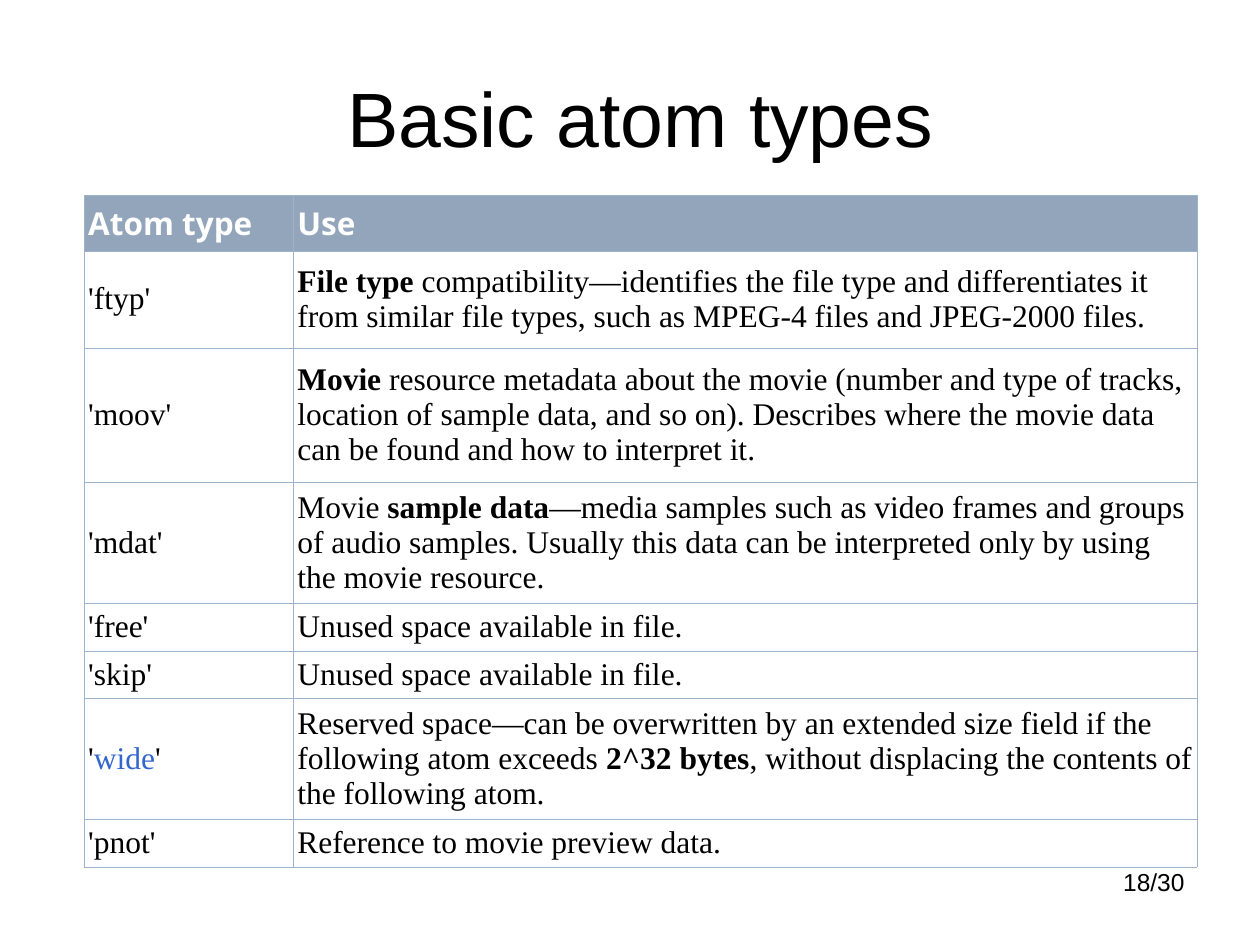
"""Build the slide that tabulates the basic atom types."""
from lxml import etree
from pptx import Presentation
from pptx import util as u
from pptx.dml.color import RGBColor
from pptx.enum import text
from pptx.oxml import ns

BLACK = RGBColor(0, 0, 0)
WHITE = RGBColor(255, 255, 255)
BLUE = RGBColor(0x33, 0x66, 0xCC)
SLATE = RGBColor(0x93, 0xA5, 0xBB)
LINE = RGBColor(0x9B, 0xB3, 0xCD)

HEAD = {"size": u.Pt(18), "name": "Noto Sans", "bold": True}
BODY = {"size": u.Pt(18), "name": "Times New Roman", "bold": False}
TITLE = {"size": u.Pt(44), "name": "Arial", "bold": False}
PAGE = {"size": u.Pt(14), "name": "Arial", "bold": False}
CELL = {
    "margin_left": u.Inches(0.03),
    "margin_right": u.Inches(0.03),
    "margin_top": u.Inches(0.05),
    "margin_bottom": u.Inches(0.05),
    "vertical_anchor": text.MSO_ANCHOR.MIDDLE,
}

WIDTHS = [1.66, 7.17]
ROWS = [
    (0.36, "Atom type", "Use"),
    (0.77, "'ftyp'", "*File type *compatibility—identifies the file type and "
     "differentiates it from similar file types, such as MPEG-4 files and "
     "JPEG-2000 files."),
    (1.07, "'moov'", "*Movie* resource metadata about the movie (number and "
     "type of tracks, location of sample data, and so on). Describes where "
     "the movie data can be found and how to interpret it."),
    (0.96, "'mdat'", "Movie *sample data*—media samples such as video frames "
     "and groups of audio samples. Usually this data can be interpreted only "
     "by using the movie resource."),
    (0.36, "'free'", "Unused space available in file."),
    (0.36, "'skip'", "Unused space available in file."),
    (0.96, "'*wide*'", "Reserved space—can be overwritten by an extended size "
     "field if the following atom exceeds *2^32 bytes*, without displacing "
     "the contents of the following atom."),
    (0.36, "'pnot'", "Reference to movie preview data."),
]


def write(para, words, style, color):
    run = para.add_run()
    run.text = words
    for key, value in style.items():
        setattr(run.font, key, value)
    run.font.color.rgb = color


def edge(cell):
    props = cell._tc.get_or_add_tcPr()
    for side in ("a:lnL", "a:lnR", "a:lnT", "a:lnB"):
        line = etree.SubElement(props, ns.qn(side), w=str(u.Pt(0.34)))
        fill = etree.SubElement(line, ns.qn("a:solidFill"))
        etree.SubElement(fill, ns.qn("a:srgbClr"), val=str(LINE))


deck = Presentation()
deck.slide_width, deck.slide_height = u.Inches(10), u.Inches(7.5)
slide = deck.slides.add_slide(deck.slide_layouts[5])

title = slide.shapes.title
title.left, title.top = u.Inches(0.5), u.Inches(0.3)
title.width, title.height = u.Inches(9), u.Inches(1.25)
title.text_frame.vertical_anchor = text.MSO_ANCHOR.MIDDLE
para = title.text_frame.paragraphs[0]
para.alignment = text.PP_ALIGN.CENTER
write(para, " Basic atom types", TITLE, BLACK)

frame = slide.shapes.add_table(
    len(ROWS), len(WIDTHS), u.Inches(0.67), u.Inches(1.55),
    u.Inches(sum(WIDTHS)), u.Inches(sum(row[0] for row in ROWS)))
table = frame.table
table.horz_banding = False
for col, width in zip(table.columns, WIDTHS):
    col.width = u.Inches(width)

for r, (height, *cells) in enumerate(ROWS):
    table.rows[r].height = u.Inches(height)
    style, color, back = (BODY, BLACK, WHITE) if r else (HEAD, WHITE, SLATE)
    for c, words in enumerate(cells):
        cell = table.cell(r, c)
        for key, value in CELL.items():
            setattr(cell, key, value)
        edge(cell)
        cell.fill.solid()
        cell.fill.fore_color.rgb = back
        para = cell.text_frame.paragraphs[0]
        for n, part in enumerate(words.split("*")):
            if n % 2 == 0:
                if part:
                    write(para, part, style, color)
            elif c == 0:
                write(para, part, style, BLUE)
            else:
                write(para, part, {**style, "bold": True}, color)

page = slide.shapes.add_textbox(
    u.Inches(7.17), u.Inches(6.83), u.Inches(2.33), u.Inches(0.52))
page.text_frame.word_wrap = True
para = page.text_frame.paragraphs[0]
para.alignment = text.PP_ALIGN.RIGHT
write(para, "18/30", PAGE, BLACK)

deck.save("out.pptx")
